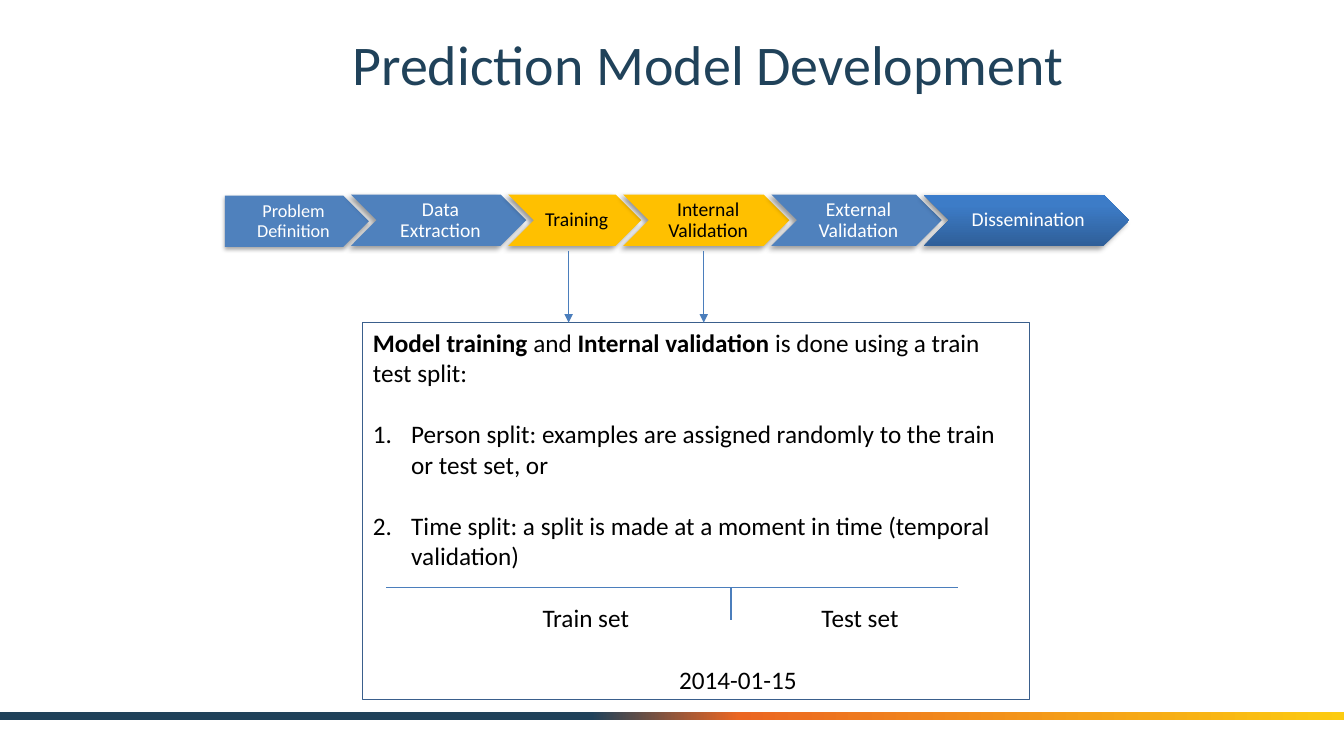
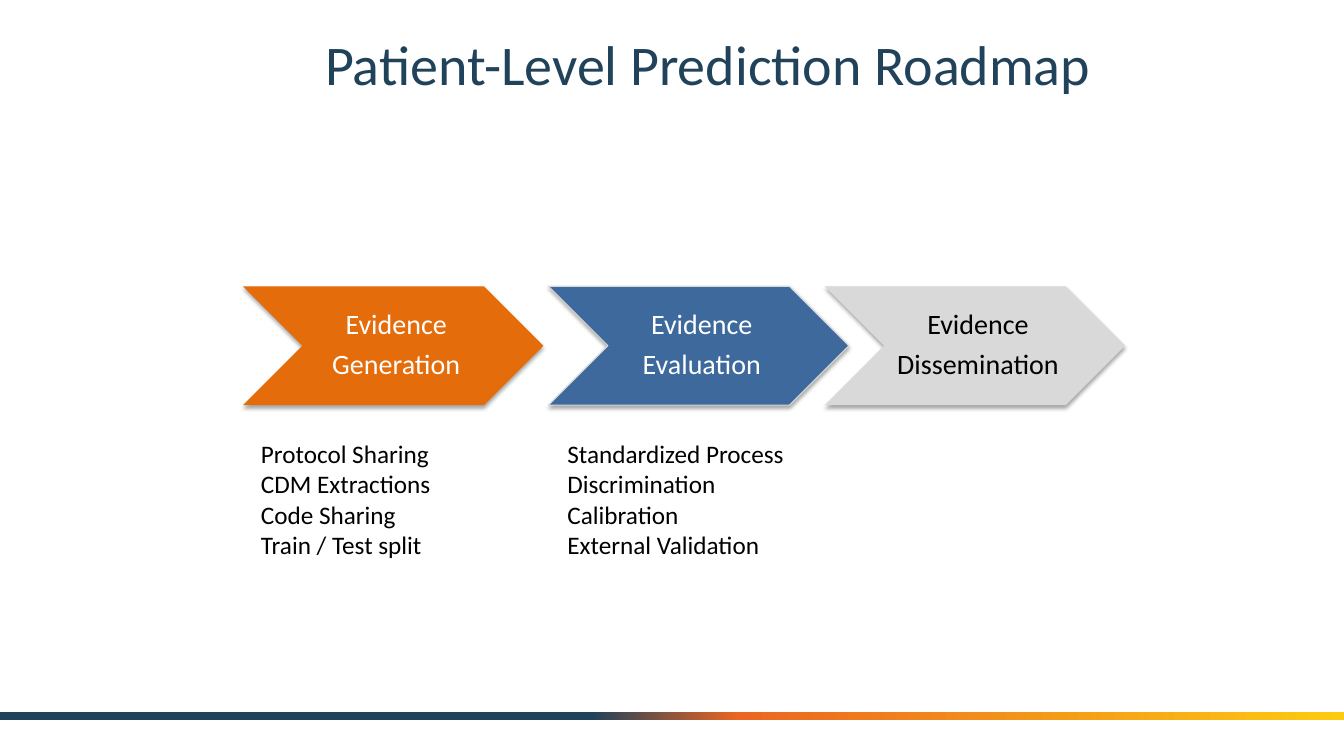
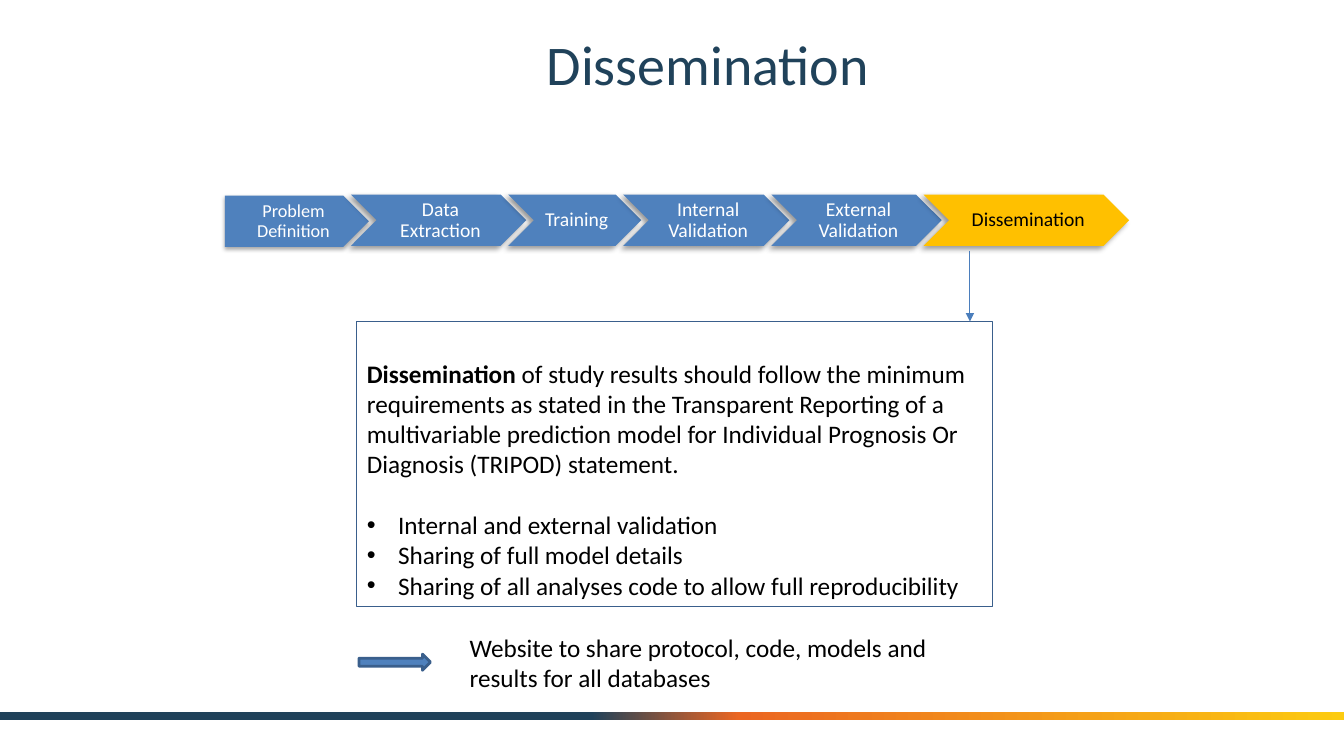
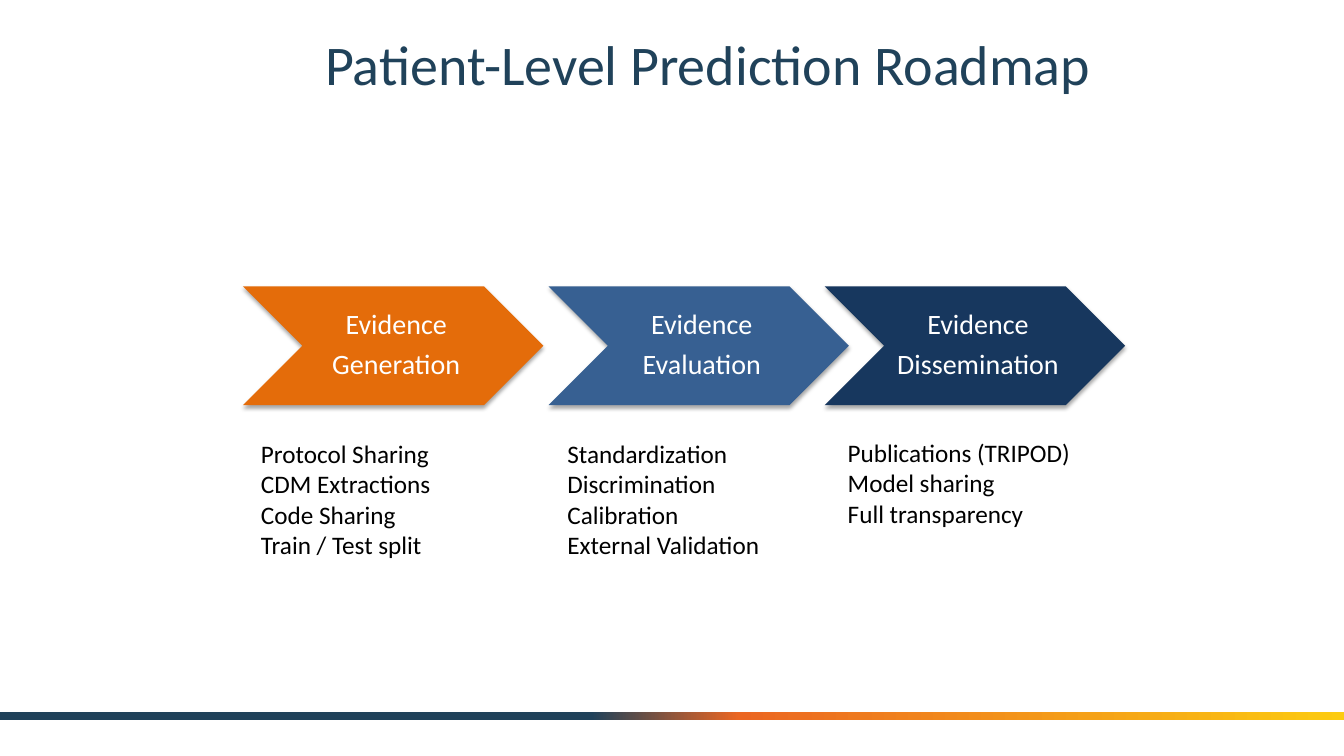
from lxml import etree
from pptx import Presentation
from pptx import util as u
from pptx.dml.color import RGBColor
from pptx.enum import shapes, text
from pptx.oxml.ns import qn

PX = 9144  # 100 px to the inch
FONT = "Calibri"
LINE = 22  # points, one line of body text
COLOURS = {
    "navy": "20425A", "vermilion": "EB6622", "yellow": "FCCB10",
    "blue": "4F81BD", "gold": "FFC000", "outline": "3A5F8C", "connector": "4B7EBC",
    "gloss dark": "2F5F99", "gloss mid": "3D7CC7", "gloss light": "3A7CCB",
    "orange": "E46C0A", "steel": "376092", "bright steel": "3D699C",
    "midnight": "17375E", "grey": "D9D9D9", "white": "FFFFFF", "black": "000000",
}
BAND_STOPS = [(44, "navy"), (55, "vermilion"), (100, "yellow")]
GLOSS_STOPS = [(0, "gloss dark"), (80, "gloss mid"), (100, "gloss light")]

# Shadows: opacity %, blur pt, distance pt, direction in degrees
SOFT_SHADOW = (35, 3.1, 1.8, 90)
DEEP_SHADOW = (40, 4, 3, 135)

STEPS = [("Problem Definition", 143), ("Data Extraction", 174), ("Training", 132),
         ("Internal Validation", 165), ("External Validation", 169), ("Dissemination", 204)]
STEP_LEFT, STEP_TOP, STEP_HEIGHT, STEP_OVERLAP = 223, 193, 51, 18
ARROW_TOP = 249

PILLAR_LEFTS = [241, 544, 818]
PILLAR_TOP, PILLAR_WIDTH, PILLAR_HEIGHT = 284, 298, 118
NOTE_LEFTS = [249, 553, 831]

# A paragraph is a list of (text, bold) runs, a bullet kind and the points before it
SPLIT_TEXT = [
    ([("Model training ", True), ("and ", False), ("Internal validation ", True),
      ("is done using a train test split:", False)], None, 0),
    ([("Person split: examples are assigned randomly to the train or test set, or", False)],
     "number", LINE),
    ([("Time split: a split is made at a moment in time (temporal validation)", False)],
     "number", LINE),
]
SPLIT_LABELS = [("Train set", 581, 593), ("Test set", 853, 593), ("2014-01-15", 732, 654)]
REPORT_TEXT = [
    ([("Dissemination ", True),
      ("of study results should follow the minimum requirements as stated in the "
       "Transparent Reporting of a multivariable prediction model for Individual "
       "Prognosis Or Diagnosis (TRIPOD) statement.", False)], None, 0),
    ([("Internal and external validation", False)], "dot", LINE),
    ([("Sharing of full model details", False)], "dot", 0),
    ([("Sharing of all analyses code to allow full reproducibility", False)], "dot", 0),
]
WEBSITE_TEXT = "Website to share protocol, code, models and results for all databases"

ROADMAP_TITLE = "Patient-Level Prediction Roadmap"
GENERATION_NOTES = ["Protocol Sharing", "CDM Extractions", "Code Sharing", "Train / Test split"]
QUALITY_NOTES = ["Discrimination", "Calibration", "External Validation"]
# Pillar: second word, fill, text colour, outline, notes, top of the notes
PARTIAL_ROADMAP = [
    ("Generation", "orange", "white", None, GENERATION_NOTES, 430),
    ("Evaluation", "bright steel", "white", "grey", ["Standardized Process"] + QUALITY_NOTES, 430),
    ("Dissemination", "grey", "black", None, [], 430),
]
FULL_ROADMAP = [
    ("Generation", "orange", "white", None, GENERATION_NOTES, 430),
    ("Evaluation", "steel", "white", None, ["Standardization"] + QUALITY_NOTES, 430),
    ("Dissemination", "midnight", "white", None,
     ["Publications (TRIPOD)", "Model sharing", "Full transparency"], 429),
]


def colour(name):
    return RGBColor.from_string(COLOURS[name])


def plain(*lines):
    return [([(line, False)], None, 0) for line in lines]


def set_bullet(paragraph, kind):
    properties = paragraph._p.get_or_add_pPr()
    indent = (38 if kind == "number" else 31) * PX
    properties.set("marL", str(indent))
    properties.set("indent", str(-indent))
    if kind == "number":
        etree.SubElement(properties, qn("a:buFont"), typeface="+mj-lt")
        etree.SubElement(properties, qn("a:buAutoNum"), type="arabicPeriod")
    else:
        etree.SubElement(properties, qn("a:buFont"), typeface="Arial")
        etree.SubElement(properties, qn("a:buChar"), char="•")


def write(shape, paragraphs, size=18, ink="black", insets=(10, 5, 10, 5), centred=False,
          middle=False, spacing=None, after=0):
    """Fill a shape with text; insets run left, top, right, bottom in px."""
    frame = shape.text_frame
    frame.word_wrap = True
    frame.vertical_anchor = text.MSO_ANCHOR.MIDDLE if middle else text.MSO_ANCHOR.TOP
    (frame.margin_left, frame.margin_top,
     frame.margin_right, frame.margin_bottom) = [inset * PX for inset in insets]
    for index, (runs, bullet, before) in enumerate(paragraphs):
        paragraph = frame.add_paragraph() if index else frame.paragraphs[0]
        if bullet:
            set_bullet(paragraph, bullet)
        paragraph.alignment = text.PP_ALIGN.CENTER if centred else text.PP_ALIGN.LEFT
        if spacing:
            paragraph.line_spacing = spacing
        if before:
            paragraph.space_before = u.Pt(before)
        if after and index < len(paragraphs) - 1:
            paragraph.space_after = u.Pt(after)
        for words, bold in runs:
            run = paragraph.add_run()
            run.text = words
            run.font.name, run.font.size, run.font.bold = FONT, u.Pt(size), bold
            run.font.color.rgb = colour(ink)


def add_text(slide, box, paragraphs, **style):
    write(slide.shapes.add_textbox(*[length * PX for length in box]), paragraphs, **style)


def fill_gradient(shape, stops, angle):
    shape.fill.gradient()
    shape.fill.gradient_angle = angle
    stop_list = shape._element.spPr.find(".//" + qn("a:gsLst"))
    for stop in list(stop_list):
        stop_list.remove(stop)
    for position, name in stops:
        stop = etree.SubElement(stop_list, qn("a:gs"), pos=str(position * 1000))
        etree.SubElement(stop, qn("a:srgbClr"), val=COLOURS[name])


def add_shape(slide, kind, box, fill=None, line=None, line_width=0.75, shadow=None):
    shape = slide.shapes.add_shape(kind, *[length * PX for length in box])
    if fill:
        shape.fill.solid()
        shape.fill.fore_color.rgb = colour(fill)
    else:
        shape.fill.background()
    if line:
        shape.line.color.rgb = colour(line)
        shape.line.width = u.Pt(line_width)
    else:
        shape.line.fill.background()
    shape.shadow.inherit = False
    if shadow:
        opacity, blur, distance, direction = shadow
        effects = shape._element.spPr.find(qn("a:effectLst"))
        outer = etree.SubElement(
            effects, qn("a:outerShdw"), blurRad=str(u.Pt(blur)), dist=str(u.Pt(distance)),
            dir=str(direction * 60000), rotWithShape="0")
        ink = etree.SubElement(outer, qn("a:srgbClr"), val=COLOURS["black"])
        etree.SubElement(ink, qn("a:alpha"), val=str(opacity * 1000))
    return shape


def add_line(slide, start, end, arrow=False):
    connector = slide.shapes.add_connector(
        shapes.MSO_CONNECTOR.STRAIGHT, *[length * PX for length in start + end])
    connector.line.color.rgb = colour("connector")
    connector.line.width = u.Pt(0.75)
    if arrow:
        etree.SubElement(connector.line._get_or_add_ln(), qn("a:tailEnd"), type="triangle")
    etree.SubElement(connector._element.spPr, qn("a:effectLst"))


def add_slide(presentation, title):
    """Add a slide with the shared colour band and title."""
    slide = presentation.slides.add_slide(presentation.slide_layouts[6])
    band = add_shape(slide, shapes.MSO_SHAPE.RECTANGLE, (0, 706, 1333, 8))
    fill_gradient(band, BAND_STOPS, 0)
    add_text(slide, (137, 17, 1130, 92), plain(title), size=40, ink="navy",
             centred=True, middle=True)
    return slide


def add_process(slide, highlighted):
    left = STEP_LEFT
    for index, (name, width) in enumerate(STEPS):
        first = index == 0
        active = name in highlighted
        step = add_shape(
            slide, shapes.MSO_SHAPE.PENTAGON if first else shapes.MSO_SHAPE.CHEVRON,
            (left, STEP_TOP + first, width, STEP_HEIGHT), "gold" if active else "blue",
            shadow=SOFT_SHADOW if first else DEEP_SHADOW)
        if name == "Dissemination" and not active:
            fill_gradient(step, GLOSS_STOPS, 90)
        write(step, plain(name), size=13 if first else 14, ink="black" if active else "white",
              insets=(8 if first else 6, 4, 2, 4), centred=True, middle=True, spacing=0.9)
        left += width - STEP_OVERLAP


def add_panel(slide, box, arrow_xs, paragraphs, top_inset=5):
    """Outlined text panel with arrows coming down from the process."""
    panel = add_shape(slide, shapes.MSO_SHAPE.RECTANGLE, box, line="outline")
    write(panel, paragraphs, insets=(10, top_inset, 10, 5))
    for x in arrow_xs:
        add_line(slide, (x, ARROW_TOP), (x, box[1]), arrow=True)


def add_development_slide(presentation):
    slide = add_slide(presentation, "Prediction Model Development")
    add_process(slide, ["Training", "Internal Validation"])
    add_panel(slide, (360, 320, 661, 374), [564, 698], SPLIT_TEXT)
    add_line(slide, (383, 583), (950, 583))
    add_line(slide, (725, 583), (725, 615))
    for label, centre, top in SPLIT_LABELS:
        add_text(slide, (centre - 75, top, 150, 40), plain(label), centred=True)


def add_dissemination_slide(presentation):
    slide = add_slide(presentation, "Dissemination")
    add_process(slide, ["Dissemination"])
    add_panel(slide, (354, 319, 630, 283), [962], REPORT_TEXT, top_inset=36)
    add_shape(slide, shapes.MSO_SHAPE.RIGHT_ARROW, (356, 649, 71, 16), "blue", "outline", 2)
    add_text(slide, (456, 622, 528, 71), plain(WEBSITE_TEXT))


def add_roadmap_slide(presentation, pillars):
    slide = add_slide(presentation, ROADMAP_TITLE)
    for left, note_left, pillar in zip(PILLAR_LEFTS, NOTE_LEFTS, pillars):
        name, fill, ink, outline, notes, notes_top = pillar
        chevron = add_shape(slide, shapes.MSO_SHAPE.CHEVRON,
                            (left, PILLAR_TOP, PILLAR_WIDTH, PILLAR_HEIGHT),
                            fill, outline, shadow=SOFT_SHADOW)
        write(chevron, plain("Evidence", name), size=20, ink=ink, insets=(9, 3, 3, 3),
              centred=True, middle=True, spacing=0.9, after=7)
        if notes:
            add_text(slide, (note_left, notes_top, 260, 192), plain(*notes))


def main():
    presentation = Presentation()
    presentation.slide_width, presentation.slide_height = u.Inches(13.33), u.Inches(7.5)
    add_development_slide(presentation)
    add_roadmap_slide(presentation, PARTIAL_ROADMAP)
    add_dissemination_slide(presentation)
    add_roadmap_slide(presentation, FULL_ROADMAP)
    presentation.save("out.pptx")


if __name__ == "__main__":
    main()
